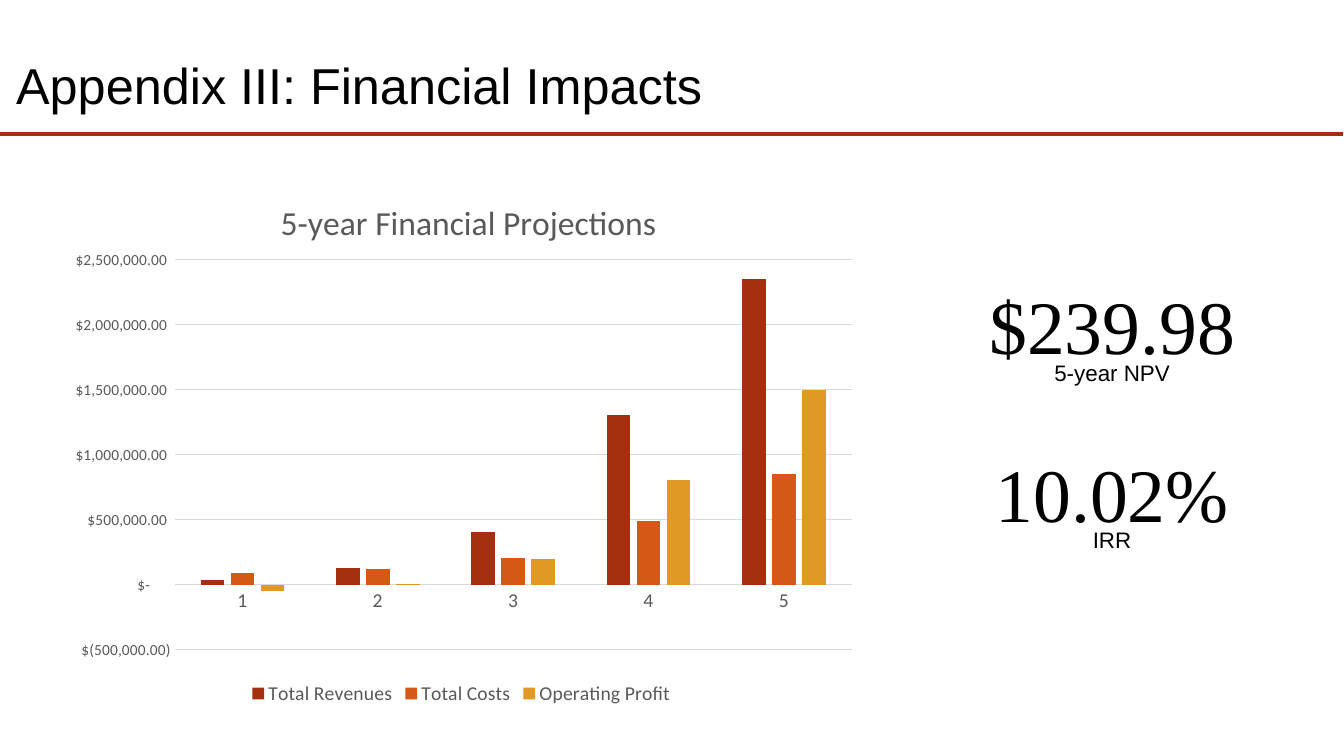
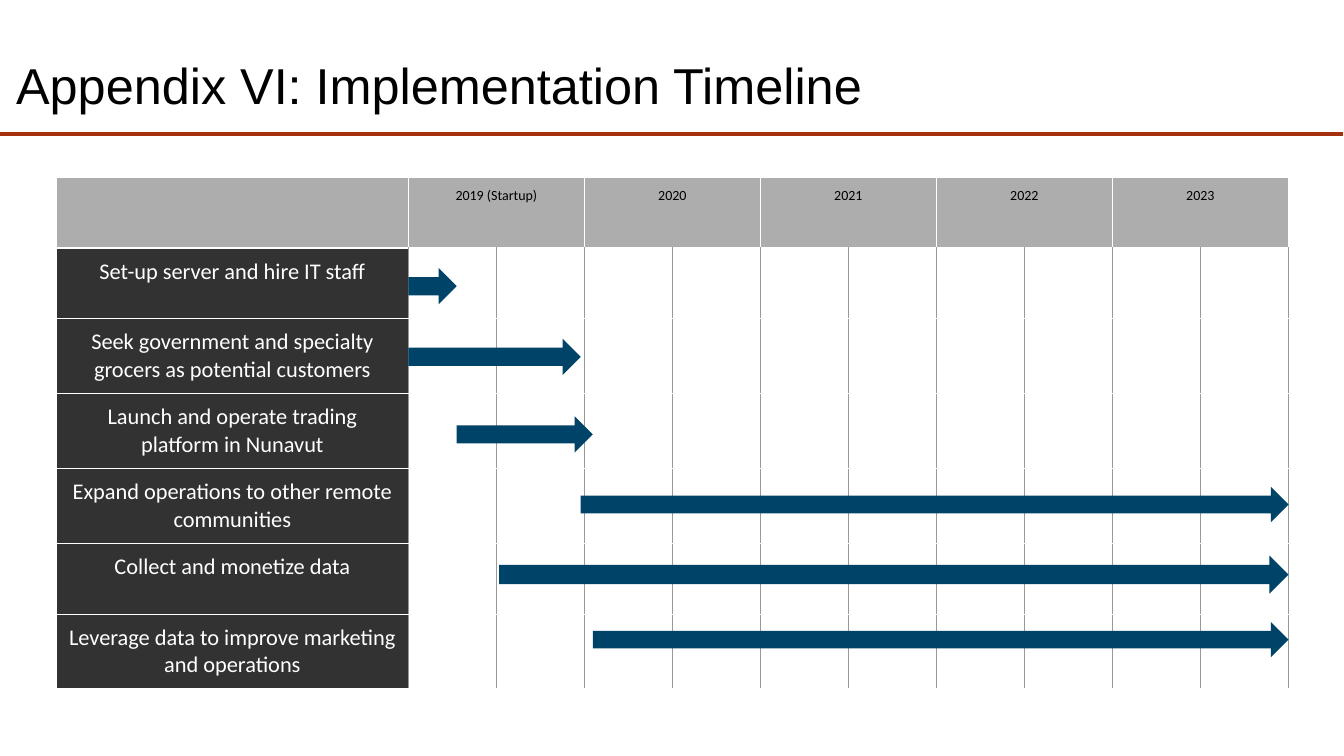
from lxml.etree import SubElement
from pptx import Presentation
from pptx.chart.data import CategoryChartData
from pptx.dml.color import RGBColor
from pptx.enum.chart import XL_CHART_TYPE, XL_LEGEND_POSITION, XL_TICK_MARK
from pptx.enum.shapes import MSO_CONNECTOR, MSO_SHAPE
from pptx.enum.text import MSO_ANCHOR, MSO_AUTO_SIZE, PP_ALIGN
from pptx.oxml.ns import qn
from pptx.util import Inches, Pt

BLACK, WHITE = "000000", "FFFFFF"
RUST, ORANGE, GOLD = "A5300F", "D55816", "E19825"
CHART_TEXT, CHART_GRID = "595959", "D9D9D9"
HEADER_GRAY, LABEL_GRAY, RULE_GRAY, ARROW_BLUE = "ADADAD", "323232", "999999", "004368"
TITLE_BOX = (0.06, 0.32, 13.32, 1.1)

YEARS = ["1", "2", "3", "4", "5"]
PROJECTIONS = [
    ("Total Revenues", RUST, (40000, 130000, 410000, 1310000, 2350000)),
    ("Total Costs", ORANGE, (90000, 120000, 210000, 490000, 850000)),
    ("Operating Profit", GOLD, (-50000, 10000, 200000, 810000, 1500000)),
]
METRICS = [("$239.98", "5-year NPV"), ("10.02%", "IRR")]
PERIODS = ["2019 (Startup)", "2020", "2021", "2022", "2023"]
LABEL_WIDTH, HALF_YEAR_WIDTH = 3.49, 0.873
ROW_HEIGHTS = [0.7, 0.7, 0.71, 0.71, 0.71, 0.7, 0.7]
TASKS = [
    ("Set-up server and hire IT staff", 3.49, 3.97, 0.9, 0.36),
    ("Seek government and specialty grocers as potential customers", 3.49, 5.2, 1.6, 0.36),
    ("Launch and operate trading platform in Nunavut", 3.97, 5.32, 2.37, 0.36),
    ("Expand operations to other remote communities", 5.2, 12.22, 3.07, 0.35),
    ("Collect and monetize data", 4.39, 12.22, 3.75, 0.38),
    ("Leverage data to improve marketing and operations", 5.32, 12.22, 4.41, 0.35),
]


def hex_color(value):
    """Turn a hex string into a colour."""
    return RGBColor.from_string(value)


def set_fill(fill, color):
    """Make a fill solid in the given colour."""
    fill.solid()
    fill.fore_color.rgb = hex_color(color)


def set_line(line, color, width):
    """Give a line its colour and its width in points."""
    line.color.rgb = hex_color(color)
    line.width = Pt(width)


def set_font(font, size, color=BLACK, name="Calibri"):
    """Format a font."""
    font.size = Pt(size)
    font.bold = False
    font.name = name
    font.color.rgb = hex_color(color)


def write_text(text_frame, text, *, size, color=BLACK, font="Calibri",
               alignment=PP_ALIGN.CENTER, line_spacing=None):
    """Write one formatted paragraph into a text frame."""
    paragraph = text_frame.paragraphs[0]
    paragraph.alignment = alignment
    if line_spacing:
        paragraph.line_spacing = line_spacing
    run = paragraph.add_run()
    run.text = text
    set_font(run.font, size, color, font)


def add_titled_slide(presentation, title):
    """Add a slide with the shared title and the rule below it."""
    slide = presentation.slides.add_slide(presentation.slide_layouts[5])
    rule = slide.shapes.add_connector(
        MSO_CONNECTOR.STRAIGHT, Inches(0), Inches(1.33), Inches(13.32), Inches(1.33))
    set_line(rule.line, RUST, 3)
    SubElement(rule.element.spPr, qn("a:effectLst"))
    shape = slide.shapes.title
    shape.left, shape.top, shape.width, shape.height = map(Inches, TITLE_BOX)
    shape.text_frame.vertical_anchor = MSO_ANCHOR.MIDDLE
    shape.text_frame.auto_size = MSO_AUTO_SIZE.NONE
    write_text(shape.text_frame, title, size=36, font="Arial",
               alignment=PP_ALIGN.LEFT, line_spacing=0.9)
    return slide


def set_chart_layout(parent, position, **fractions):
    """Place a chart part by fractions of the chart area."""
    for old_layout in parent.findall(qn("c:layout")):
        parent.remove(old_layout)
    layout = SubElement(parent, qn("c:layout"))
    parent.insert(position, layout)
    manual = SubElement(layout, qn("c:manualLayout"))
    settings = {"xMode": "edge", "yMode": "edge", **fractions}
    if "w" in fractions:
        settings = {"layoutTarget": "inner", **settings}
    for name, value in settings.items():
        SubElement(manual, qn(f"c:{name}")).set("val", str(value))


def format_axes(chart):
    """Format the category and value axes of the chart."""
    for axis, size in ((chart.category_axis, 14), (chart.value_axis, 11)):
        axis.major_tick_mark = axis.minor_tick_mark = XL_TICK_MARK.NONE
        set_font(axis.tick_labels.font, size, CHART_TEXT)
    set_line(chart.category_axis.format.line, CHART_GRID, 0.75)
    value_axis = chart.value_axis
    value_axis.format.line.fill.background()
    value_axis.minimum_scale, value_axis.maximum_scale = -500000, 2500000
    value_axis.major_unit = 500000
    set_line(value_axis.major_gridlines.format.line, CHART_GRID, 0.75)
    value_axis.tick_labels.number_format_is_linked = False
    value_axis.tick_labels.number_format = (
        '_("$"* #,##0.00_);_("$"* \\(#,##0.00\\);_("$"* "-"??_);_(@_)')


def add_projections(slide, left, top, width, height):
    """Add the chart of five-year projections."""
    data = CategoryChartData()
    data.categories = YEARS
    for name, _, values in PROJECTIONS:
        data.add_series(name, values)
    chart = slide.shapes.add_chart(
        XL_CHART_TYPE.COLUMN_CLUSTERED, Inches(left), Inches(top),
        Inches(width), Inches(height), data).chart
    set_font(chart.font, 10)
    chart.has_title = True
    write_text(chart.chart_title.text_frame, "5-year Financial Projections",
               size=24, color=CHART_TEXT)
    chart.has_legend = True
    chart.legend.position = XL_LEGEND_POSITION.BOTTOM
    chart.legend.include_in_layout = False
    set_font(chart.legend.font, 14, CHART_TEXT)
    format_axes(chart)
    plot = chart.plots[0]
    plot.gap_width, plot.overlap = 219, -27
    plot.vary_by_categories = False
    for series, (_, color, _) in zip(plot.series, PROJECTIONS):
        set_fill(series.format.fill, color)
        series.invert_if_negative = False
    set_chart_layout(chart.element.find(f".//{qn('c:title')}"), 1, x=0.27, y=0.04)
    set_chart_layout(chart.element.find(f".//{qn('c:plotArea')}"), 0,
                     x=0.147, y=0.163, w=0.834, h=0.726)


def add_label(slide, text, left, top, width, height, **text_format):
    """Add a wrapping text box with one line of text."""
    box = slide.shapes.add_textbox(Inches(left), Inches(top), Inches(width), Inches(height))
    box.text_frame.word_wrap = True
    write_text(box.text_frame, text, **text_format)


def add_metric(slide, value, caption, left, top, width):
    """Add a large figure with its caption below."""
    add_label(slide, value, left + 0.55, top, width - 1.1, 1.01,
              size=54, font="Times New Roman")
    add_label(slide, caption, left, top + 0.79, width, 0.37, size=16, font="Arial")


def format_cell(cell, fill, text="", size=16, color=WHITE, side=(WHITE, 1), edge=(WHITE, 1),
                left_side=None):
    """Fill a cell, write its text and draw its borders."""
    set_fill(cell.fill, fill)
    properties = cell.fill._xPr
    borders = {"a:lnL": left_side or side, "a:lnR": side, "a:lnT": edge, "a:lnB": edge}
    for position, (tag, (line_color, width)) in enumerate(borders.items()):
        line = SubElement(properties, qn(tag), w=str(Pt(width)))
        properties.insert(position, line)
        SubElement(SubElement(line, qn("a:solidFill")), qn("a:srgbClr"), val=line_color)
    if text:
        cell.margin_left = cell.margin_right = Inches(0.1)
        cell.margin_top = cell.margin_bottom = Inches(0.1)
        write_text(cell.text_frame, text, size=size, color=color)


def add_schedule(slide, left, top):
    """Add the schedule table with tasks and half-year columns."""
    widths = [LABEL_WIDTH] + [HALF_YEAR_WIDTH] * (2 * len(PERIODS))
    table = slide.shapes.add_table(
        len(ROW_HEIGHTS), len(widths), Inches(left), Inches(top),
        Inches(sum(widths)), Inches(sum(ROW_HEIGHTS))).table
    table.first_row = table.horz_banding = False
    for column, width in zip(table.columns, widths):
        column.width = Inches(width)
    for row, height in zip(table.rows, ROW_HEIGHTS):
        row.height = Inches(height)
    format_cell(table.cell(0, 0), HEADER_GRAY)
    for index, period in enumerate(PERIODS):
        first, last = table.cell(0, 2 * index + 1), table.cell(0, 2 * index + 2)
        first.merge(last)
        format_cell(first, HEADER_GRAY, period, size=10, color=BLACK)
        format_cell(last, HEADER_GRAY)
    rule, edge = (RULE_GRAY, 0.75), (WHITE, 0.75)
    for row, task in enumerate(TASKS, 1):
        format_cell(table.cell(row, 0), LABEL_GRAY, task[0], side=rule, edge=edge, left_side=edge)
        for column in range(1, len(widths)):
            format_cell(table.cell(row, column), WHITE, side=rule, edge=edge)


def add_task_arrows(slide, left, top):
    """Add one arrow for the duration of each task."""
    for _, start, end, offset, height in TASKS:
        arrow = slide.shapes.add_shape(
            MSO_SHAPE.RIGHT_ARROW, Inches(left + start), Inches(top + offset),
            Inches(end - start), Inches(height))
        arrow.shadow.inherit = False
        set_fill(arrow.fill, ARROW_BLUE)
        arrow.line.fill.background()


def build_financial_slide(presentation):
    """Build the slide of financial impacts."""
    slide = add_titled_slide(presentation, "Appendix III: Financial Impacts")
    add_projections(slide, 0.55, 1.71, 8.05, 5.33)
    for index, (value, caption) in enumerate(METRICS):
        add_metric(slide, value, caption, 9.06, 2.72 + 1.66 * index, 3.94)


def build_timeline_slide(presentation):
    """Build the slide of the implementation timeline."""
    slide = add_titled_slide(presentation, "Appendix VI: Implementation Timeline")
    add_schedule(slide, 0.56, 1.76)
    add_task_arrows(slide, 0.56, 1.76)


def main():
    """Build and save the presentation."""
    presentation = Presentation()
    presentation.slide_width, presentation.slide_height = Inches(13.33), Inches(7.5)
    build_financial_slide(presentation)
    build_timeline_slide(presentation)
    presentation.save("out.pptx")


if __name__ == "__main__":
    main()
